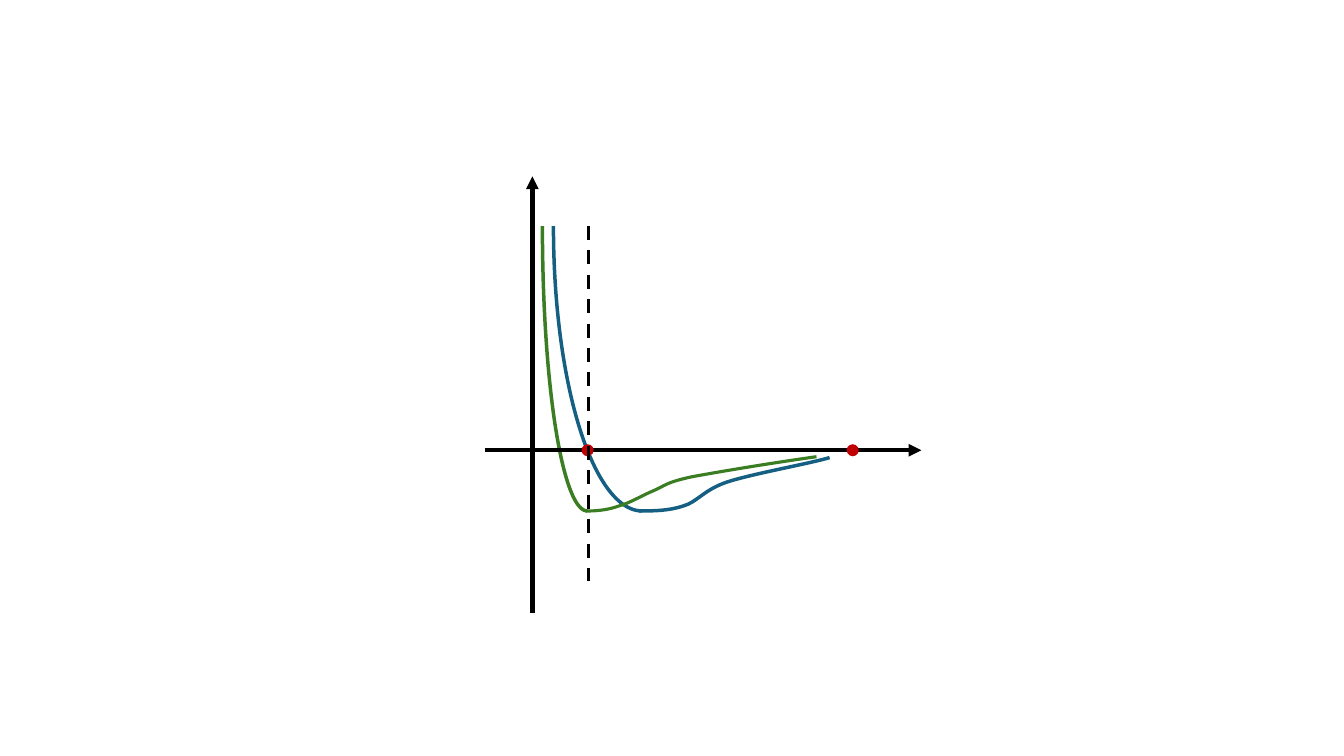
from pptx import Presentation
from pptx.dml.color import RGBColor
from pptx.enum import dml, shapes
from pptx.oxml.ns import qn
from pptx.util import Pt
from lxml import etree

BLUE, GREEN, RED, BLACK = "156082", "3B7D23", "C00000", "000000"
AXIS_X, AXIS_Y = 380.3, 321.6
DOT = 8.6


def color(value):
    return RGBColor.from_string(value)


def style_outline(shape, ink, width):
    shape.shadow.inherit = False
    shape.fill.background()
    shape.line.color.rgb = color(ink)
    shape.line.width = Pt(width)


deck = Presentation()
deck.slide_width, deck.slide_height = Pt(960), Pt(540)
page = deck.slides.add_slide(deck.slide_layouts[6])

# Each curve is a steep arc and a tail: a start, then two controls and an end per cubic
blue_tail = [(456.5, 365), (466.6, 365), (477.4, 365), (488.2, 361.4),
             (498.2, 358.6), (502.6, 349.9), (519.8, 344.2),
             (537.8, 338.4), (578.2, 331.2), (592.6, 326.9)]
green_tail = [(418.3, 365), (426.2, 365), (434.2, 364.3), (442.1, 361.4),
              (450, 359.3), (457.9, 354.2), (466.6, 350.6),
              (475.2, 347), (474.5, 344.9), (493.9, 340.6),
              (513.4, 337), (547.9, 331.2), (583.2, 326.2)]
for left, arc_width, tail, ink, tail_weight in [
        (395.3, 126.7, blue_tail, BLUE, 2.5),
        (387.4, 64.1, green_tail, GREEN, 2.25)]:
    branch = page.shapes.add_shape(
        shapes.MSO_SHAPE.ARC, Pt(left), Pt(-41.8), Pt(arc_width), Pt(406.8))
    branch.rotation = 180
    style_outline(branch, ink, 2.5)

    points = [(Pt(x), Pt(y)) for x, y in tail]
    builder = page.shapes.build_freeform(*points[0])
    builder.add_line_segments(points[1:], close=False)
    curve = builder.convert_to_shape()
    segments = list(curve._element.iter(qn("a:lnTo")))
    for first in range(0, len(segments), 3):
        cubic = etree.SubElement(segments[first].getparent(), qn("a:cubicBezTo"))
        for segment in segments[first:first + 3]:
            cubic.append(segment[0])
            segment.getparent().remove(segment)
    style_outline(curve, ink, tail_weight)

# Axes with arrowheads, and the dashed vertical
for x1, y1, x2, y2, width, dashed in [
        (346.3, AXIS_Y, 658.1, AXIS_Y, 3, False),
        (AXIS_X, 437.8, AXIS_X, 126, 3, False),
        (420.5, 161.3, 420.5, 414.7, 2.5, True)]:
    line = page.shapes.add_connector(
        shapes.MSO_CONNECTOR.STRAIGHT, Pt(x1), Pt(y1), Pt(x2), Pt(y2))
    line.line.color.rgb = color(BLACK)
    line.line.width = Pt(width)
    if dashed:
        line.line.dash_style = dml.MSO_LINE.DASH
    else:
        outline = line.line._get_or_add_ln()
        etree.SubElement(outline, qn("a:tailEnd"), type="triangle")
    etree.SubElement(line._element.spPr, qn("a:effectLst"))

    # Red points sit on the horizontal axis, below the dashed line
    if y1 == y2:
        for center in (419.7, 609.1):
            dot = page.shapes.add_shape(
                shapes.MSO_SHAPE.OVAL, Pt(center - DOT / 2), Pt(AXIS_Y - DOT / 2),
                Pt(DOT), Pt(DOT))
            dot.shadow.inherit = False
            dot.fill.solid()
            dot.fill.fore_color.rgb = color(RED)
            dot.line.fill.background()

deck.save("out.pptx")
